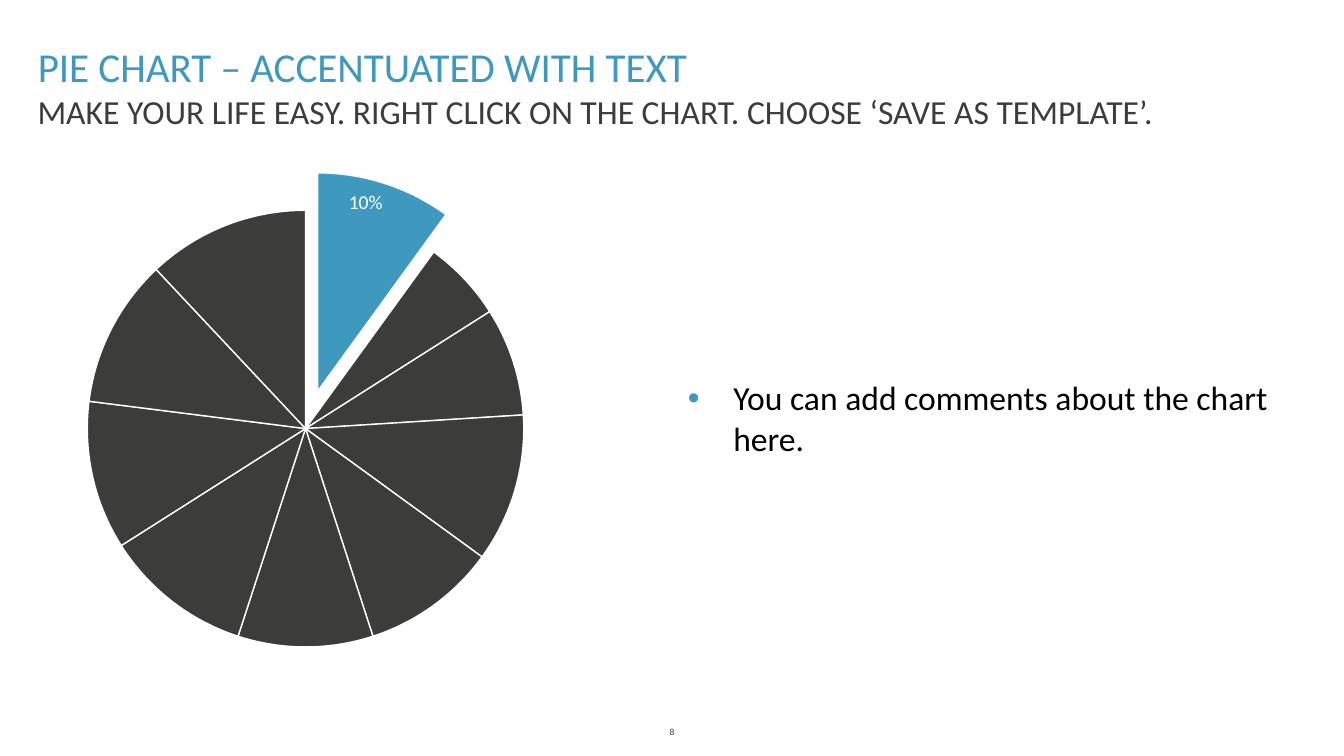
"""Build a slide with an accentuated pie chart and a comment beside it."""
import pptx
import pptx.chart.data
import pptx.dml.color
import pptx.enum.chart
import pptx.enum.text
import pptx.oxml
import pptx.util
from pptx.util import Cm

ACCENT, DARK, WHITE, BLACK = "3F98BD", "3C3C3B", "FFFFFF", "000000"
FONT = "Calibri"
Anchor = pptx.enum.text.MSO_ANCHOR
Align = pptx.enum.text.PP_ALIGN


def color(hex_string):
    """Turn a hex string into a colour."""
    return pptx.dml.color.RGBColor.from_string(hex_string)


def write(box, text, size, hex_string, anchor, align=Align.LEFT):
    """Fill a text shape with one formatted paragraph and return it."""
    frame = box.text_frame
    frame.text = text
    frame_format = {"word_wrap": True, "vertical_anchor": anchor,
                    "auto_size": pptx.enum.text.MSO_AUTO_SIZE.NONE}
    for name, value in frame_format.items():
        setattr(frame, name, value)
    paragraph = frame.paragraphs[0]
    paragraph.alignment = align
    font = paragraph.runs[0].font
    for name, value in {"name": FONT, "size": pptx.util.Pt(size)}.items():
        setattr(font, name, value)
    font.color.rgb = color(hex_string)
    return paragraph


deck = pptx.Presentation()
deck.slide_width, deck.slide_height = Cm(25.4), Cm(14.28)
slide = deck.slides.add_slide(deck.slide_layouts[5])

title = slide.shapes.title
title_place = {"left": Cm(0.46), "top": Cm(0.66), "width": Cm(24.3), "height": Cm(1.19)}
for name, value in title_place.items():
    setattr(title, name, value)
write(title, "PIE CHART – ACCENTUATED WITH TEXT", 22, ACCENT, Anchor.BOTTOM)

shares = pptx.chart.data.CategoryChartData()
shares.categories = [str(number) for number in range(1, 11)]
shares.add_series("Series 1", [10, 6, 8, 11, 10, 10, 11, 11, 11, 12])
pie = slide.shapes.add_chart(
    pptx.enum.chart.XL_CHART_TYPE.PIE, Cm(0.66), Cm(3), Cm(11), Cm(9.9), shares).chart
pie.has_legend = pie.has_title = False
pie.font.name, pie.font.size = FONT, pptx.util.Pt(10.5)
pie.font.color.rgb = color(WHITE)
pie.plots[0].vary_by_categories = True

slices = pie.plots[0].series[0]
for index in range(10):
    piece = slices.points[index].format
    piece.fill.solid()
    piece.fill.fore_color.rgb = color(DARK if index else ACCENT)
    piece.line.color.rgb = color(WHITE)
    piece.line.width = pptx.util.Pt(0.75)

namespace = 'xmlns:c="http://schemas.openxmlformats.org/drawingml/2006/chart"'
accent_point = slices.points[0].format.fill._xPr.getparent()
accent_point.insert(1, pptx.oxml.parse_xml(f'<c:explosion {namespace} val="18"/>'))

share_label = slices.points[0].data_label
share_label.position = pptx.enum.chart.XL_LABEL_POSITION.INSIDE_END
share_label.font.size = pptx.util.Pt(10.5)
share_label.font.color.rgb = color(WHITE)
label_flags = {"showLegendKey": 0, "showVal": 0, "showCatName": 0,
               "showSerName": 0, "showPercent": 1}
for tag, flag in label_flags.items():
    for element in share_label._dLbl.xpath(f"c:{tag}"):
        element.set("val", str(flag))
for tag in label_flags:
    for element in slices._element.xpath(f"c:dLbls/c:{tag}"):
        element.set("val", "0")

layout_parts = {"layoutTarget": "inner", "xMode": "edge", "yMode": "edge",
                "x": 0.09, "y": 0.09, "w": 0.75, "h": 0.85}
layout = "".join(f'<c:{tag} val="{value}"/>' for tag, value in layout_parts.items())
plot_area = pie._chartSpace.chart.plotArea
for automatic in plot_area.xpath("c:layout"):
    plot_area.remove(automatic)
plot_area.insert(0, pptx.oxml.parse_xml(
    f"<c:layout {namespace}><c:manualLayout>{layout}</c:manualLayout></c:layout>"))

page_number = slide.shapes.add_textbox(Cm(11.5), Cm(13.59), Cm(2.4), Cm(0.48))
write(page_number, "8", 5, DARK, Anchor.MIDDLE, Align.CENTER)

subtitle = slide.shapes.add_textbox(Cm(0.46), Cm(1.6), Cm(24.3), Cm(1.02))
write(subtitle, "MAKE YOUR LIFE EASY. RIGHT CLICK ON THE CHART. CHOOSE ‘SAVE AS TEMPLATE’.",
      18, DARK, Anchor.TOP)

comment_box = slide.shapes.add_textbox(Cm(12.75), Cm(3), Cm(12), Cm(9.78))
comment = write(comment_box, "You can add comments about the chart here.", 18, BLACK, Anchor.MIDDLE)
bullet = comment._p.get_or_add_pPr()
for name, value in {"marL": Cm(0.86), "indent": -Cm(0.86)}.items():
    bullet.set(name, str(int(value)))
drawing = 'xmlns:a="http://schemas.openxmlformats.org/drawingml/2006/main"'
for part in (f'<a:buClr {drawing}><a:srgbClr val="{ACCENT}"/></a:buClr>',
             f'<a:buFont {drawing} typeface="Arial"/>',
             f'<a:buChar {drawing} char="•"/>'):
    bullet.append(pptx.oxml.parse_xml(part))

deck.save("out.pptx")
